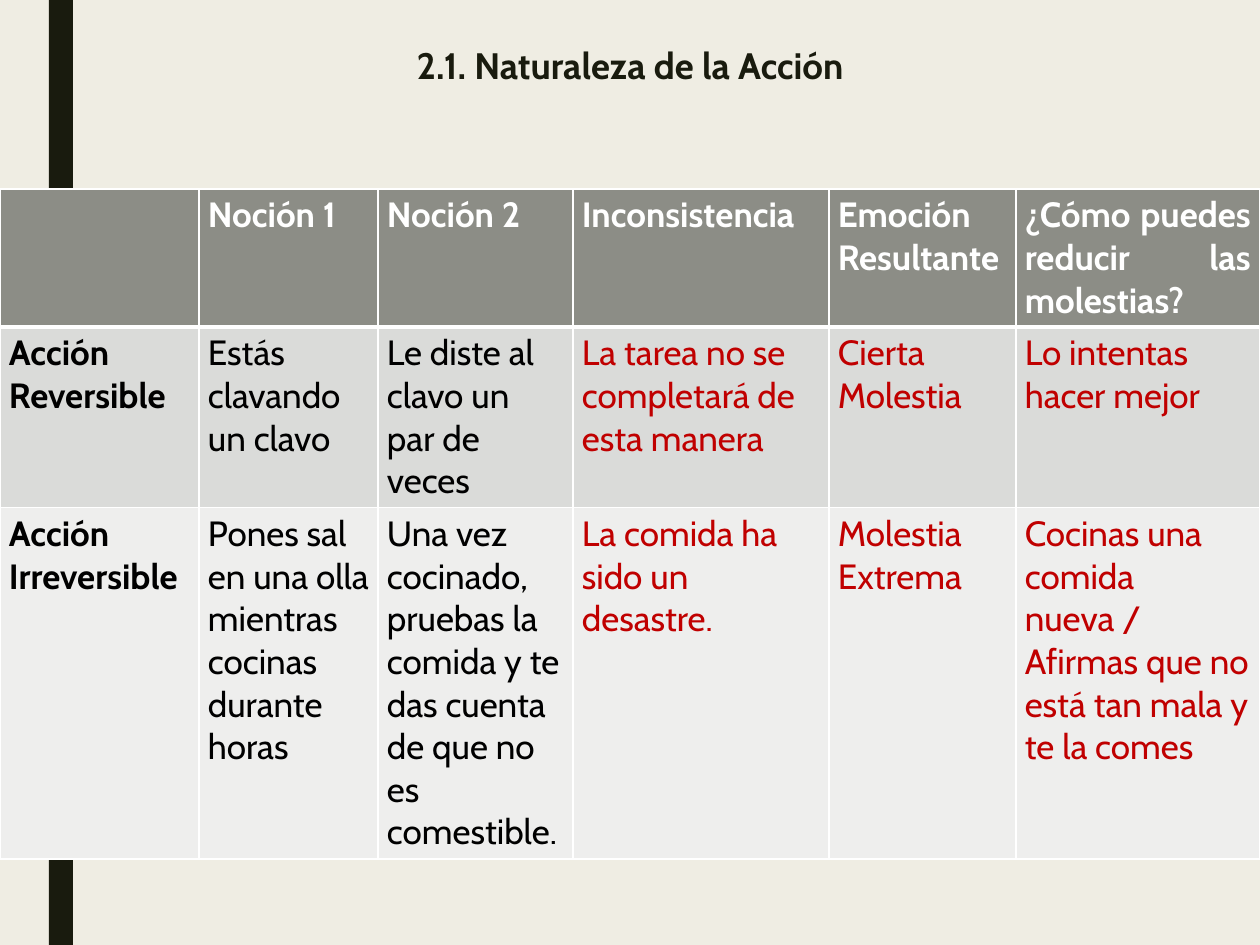
from lxml.etree import SubElement
from pptx import Presentation
from pptx.dml.color import RGBColor
from pptx.enum.shapes import MSO_SHAPE
from pptx.enum.text import MSO_ANCHOR, PP_ALIGN
from pptx.oxml.ns import qn
from pptx.util import Pt

SCALE = 914400 / 126
FONT = "Cabin"
COLORS = {
    "back": "EFEDE3", "dark": "191B0E", "head": "8C8D86",
    "odd": "DADBD9", "even": "EEEEED", "white": "FFFFFF",
    "black": "000000", "red": "C00000",
}
COLS = [199, 179, 195, 256, 187, 244]
ROWS = [137, 180, 351]
FILLS = ["head", "odd", "even"]
CELLS = [
    ["", "Noción 1", "Noción 2", "Inconsistencia", "Emoción Resultante",
     "¿Cómo puedes reducir las molestias?"],
    ["Acción Reversible", "Estás clavando un clavo",
     "Le diste al clavo un par de veces",
     "La tarea no se completará de esta manera",
     "Cierta Molestia", "Lo intentas hacer mejor"],
    ["Acción Irreversible",
     "Pones sal en una olla mientras cocinas durante horas",
     "Una vez cocinado, pruebas la comida y te das cuenta de que no es comestible.",
     "La comida ha sido un desastre.", "Molestia Extrema",
     "Cocinas una comida nueva / Afirmas que no está tan mala y te la comes"],
]


def px(num):
    return round(num * SCALE)


def rgb(name):
    return RGBColor.from_string(COLORS[name])


def paint(fill, name):
    fill.solid()
    fill.fore_color.rgb = rgb(name)


def style(frame, size, color, bold, align):
    for para in frame.paragraphs:
        para.alignment = align
        for run in para.runs:
            font = run.font
            font.name, font.size, font.bold = FONT, Pt(size), bold
            font.color.rgb = rgb(color)


def add_bar(slide):
    bar = slide.shapes.add_shape(MSO_SHAPE.RECTANGLE, px(49), 0, px(24), px(945))
    bar.shadow.inherit = False
    paint(bar.fill, "dark")
    bar.line.fill.background()


def set_title(slide, text):
    title = slide.shapes.title
    title.left, title.top = px(87), px(42)
    title.width, title.height = px(1086), px(108)
    frame = title.text_frame
    frame.text = text
    frame.word_wrap = True
    frame.vertical_anchor = MSO_ANCHOR.TOP
    frame.paragraphs[0].line_spacing = 0.89
    style(frame, 21, "dark", True, PP_ALIGN.CENTER)


def add_edges(cell, base):
    props = cell._tc.get_or_add_tcPr()
    for side, width in zip("LRTB", [1, 1, 1, base]):
        line = SubElement(props, qn(f"a:ln{side}"), w=str(Pt(width)))
        fill = SubElement(line, qn("a:solidFill"))
        SubElement(fill, qn("a:srgbClr"), val=COLORS["white"])


def fill_cell(cell, text, row, col):
    head = row == 0
    cell.text_frame.text = text
    cell.margin_left = cell.margin_right = px(9)
    cell.margin_top = cell.margin_bottom = px(5)
    add_edges(cell, 3 if head else 1)
    paint(cell.fill, FILLS[row])
    color = "white" if head else "red" if col > 2 else "black"
    align = PP_ALIGN.JUSTIFY if head else PP_ALIGN.LEFT
    style(cell.text_frame, 20, color, head or col == 0, align)


def add_grid(slide):
    table = slide.shapes.add_table(
        len(ROWS), len(COLS), 0, px(189), px(sum(COLS)), px(sum(ROWS))).table
    for col, width in zip(table.columns, COLS):
        col.width = px(width)
    for row, height in zip(table.rows, ROWS):
        row.height = px(height)
    for row, texts in enumerate(CELLS):
        for col, text in enumerate(texts):
            fill_cell(table.cell(row, col), text, row, col)


def main():
    deck = Presentation()
    deck.slide_width, deck.slide_height = px(1260), px(945)
    slide = deck.slides.add_slide(deck.slide_layouts[5])
    paint(slide.background.fill, "back")
    add_bar(slide)
    set_title(slide, "2.1. Naturaleza de la Acción")
    add_grid(slide)
    deck.save("out.pptx")


if __name__ == "__main__":
    main()
